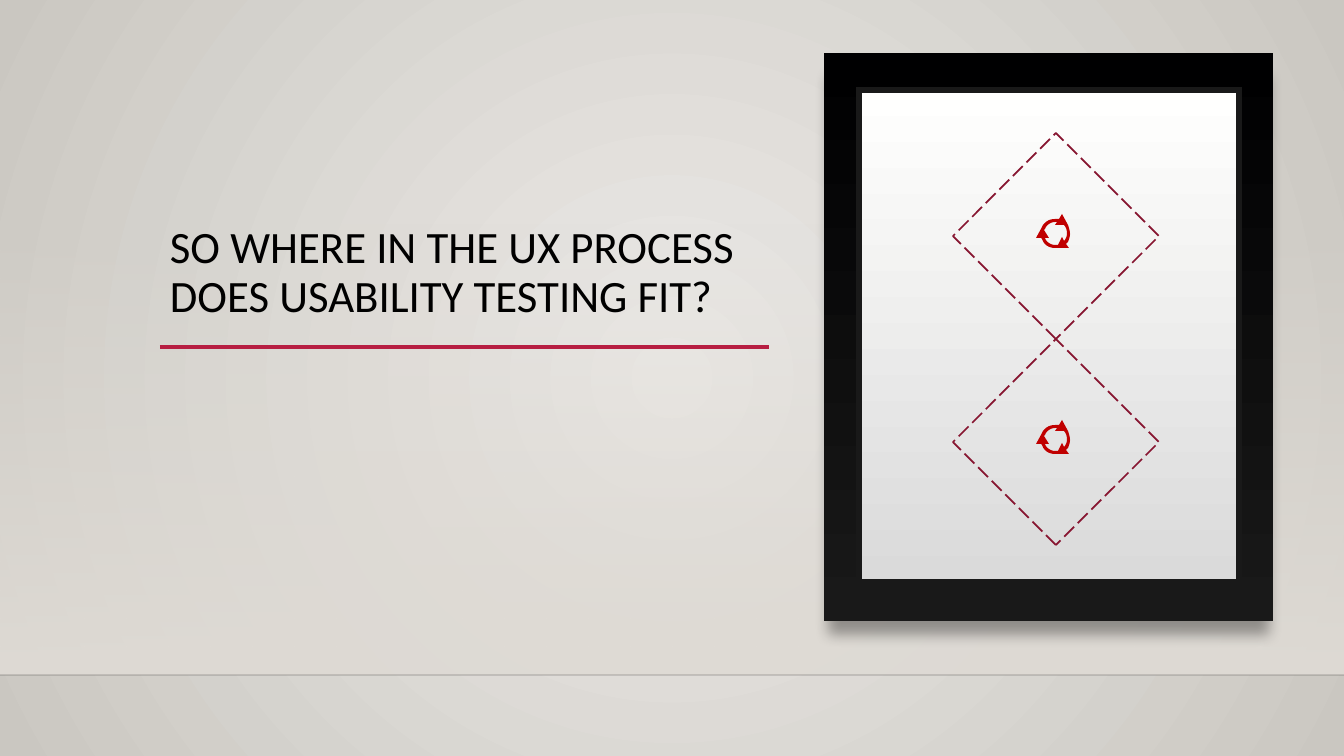
from collections import namedtuple
from dataclasses import dataclass

from lxml.etree import SubElement
from pptx import Presentation
from pptx.dml.color import RGBColor
from pptx.enum.dml import MSO_LINE
from pptx.enum.shapes import MSO_CONNECTOR, MSO_SHAPE
from pptx.enum.text import MSO_ANCHOR, PP_ALIGN
from pptx.oxml import parse_xml
from pptx.oxml.ns import nsdecls, qn
from pptx.util import Pt

SCALE = 12192000 / 1344
Box = namedtuple("Box", "left top width height")


@dataclass(frozen=True)
class Theme:
    font: str = "Calibri"
    title_size: int = 32
    text: str = "000000"
    glow: str = "ECEAE7"
    edge: str = "CAC7C1"
    wall: str = "DFDBD5"
    black: str = "000001"
    charcoal: str = "191919"
    white: str = "FFFFFE"
    silver: str = "DADADA"
    rule: str = "B71E42"
    diamond: str = "871631"
    icon: str = "C00000"


THEME = Theme()
CENTRE_OUT = ('<a:path path="circle"><a:fillToRect l="50000" t="50000" '
              'r="50000" b="50000"/></a:path>')
TOP_DOWN = '<a:lin ang="5400000" scaled="0"/>'

CYCLE_OUTER = [
    (0, 24), (6, 13), (7, 11), (10, 7, 14, 5, 19, 5), (23, 5), (26, 0),
    (32, 11), (33, 14, 34, 17, 34, 20), (34, 23, 33, 25, 32, 28), (30, 30),
    (33, 34), (19, 34), (13, 34, 8, 31, 6, 25), (5, 24),
]
CYCLE_INNER = [
    (8, 16), (13, 24), (9, 24), (10, 28, 15, 31, 19, 31), (22, 31), (26, 23),
    (28, 27), (29, 26), (30, 24, 31, 22, 31, 20), (31, 16, 30, 13, 28, 11),
    (19, 11), (21, 8), (19, 8), (15, 8, 10, 11, 9, 15),
]


def px(length):
    return round(length * SCALE)


def emu(box):
    return [px(length) for length in box]


def rgb(value):
    return RGBColor.from_string(value)


def set_gradient(parent, start, end, direction, start_alpha=100):
    gradient = parse_xml(
        f'<a:gradFill {nsdecls("a")} rotWithShape="1"><a:gsLst>'
        f'<a:gs pos="0"><a:srgbClr val="{start}">'
        f'<a:alpha val="{start_alpha * 1000}"/></a:srgbClr></a:gs>'
        f'<a:gs pos="100000"><a:srgbClr val="{end}"/></a:gs>'
        f'</a:gsLst>{direction}</a:gradFill>')
    parent.replace(parent.find(qn("a:solidFill")), gradient)


def add_panel(page, box, start, end, start_alpha=100):
    panel = page.shapes.add_shape(MSO_SHAPE.RECTANGLE, *emu(box))
    panel.shadow.inherit = False
    panel.line.fill.background()
    panel.fill.solid()
    set_gradient(panel.element.spPr, start, end, TOP_DOWN, start_alpha)
    return panel


def add_rule(page, left, top, width, color, weight):
    rule = page.shapes.add_connector(
        MSO_CONNECTOR.STRAIGHT, px(left), px(top), px(left + width), px(top))
    rule.line.color.rgb = rgb(color)
    rule.line.width = Pt(weight)
    SubElement(rule.element.spPr, qn("a:effectLst"))
    return rule


def add_backdrop(page, box):
    page.background.fill.solid()
    background = page._element.find(".//" + qn("p:bgPr"))
    set_gradient(background, THEME.glow, THEME.edge, CENTRE_OUT)
    wall = Box(box.left, box.top + 223, box.width, 452)
    add_panel(page, wall, THEME.wall, THEME.wall, start_alpha=0)
    floor = add_rule(page, box.left, wall.top + wall.height, box.width,
                     THEME.black, 1)
    color = floor.element.spPr.find(".//" + qn("a:srgbClr"))
    SubElement(color, qn("a:alpha"), val="20000")


def add_frame(page, box):
    frame = add_panel(page, box, THEME.black, THEME.charcoal)
    effects = frame.element.spPr.find(qn("a:effectLst"))
    effects.append(parse_xml(
        f'<a:outerShdw {nsdecls("a")} blurRad="127000" dist="228600" '
        'dir="4740000" sx="98000" sy="98000" algn="tl" rotWithShape="0">'
        '<a:srgbClr val="000000"><a:alpha val="34000"/></a:srgbClr>'
        '</a:outerShdw>'))
    canvas = Box(box.left + 35, box.top + 37, 380, 492)
    panel = add_panel(page, canvas, THEME.white, THEME.silver)
    panel.line.color.rgb = rgb(THEME.charcoal)
    panel.line.width = Pt(4)
    SubElement(panel.line._ln, qn("a:miter"), lim="800000")


def add_title(page, box):
    title = page.shapes.add_textbox(*emu(box))
    frame = title.text_frame
    frame.word_wrap = True
    frame.vertical_anchor = MSO_ANCHOR.BOTTOM
    para = frame.paragraphs[0]
    para.alignment = PP_ALIGN.LEFT
    para.line_spacing = 0.9
    span = para.add_run()
    span.text = "SO WHERE IN THE UX PROCESS DOES USABILITY TESTING FIT?"
    span.font.name = THEME.font
    span.font.size = Pt(THEME.title_size)
    span.font.color.rgb = rgb(THEME.text)
    add_rule(page, box.left, box.top + box.height + 20, box.width - 1,
             THEME.rule, 2.5)


def trace(outline, steps=6):
    points = [outline[0]]
    for piece in outline[1:]:
        if len(piece) == 2:
            points.append(piece)
            continue
        x0, y0 = points[-1]
        x1, y1, x2, y2, x3, y3 = piece
        for step in range(1, steps + 1):
            t = step / steps
            u = 1 - t
            weights = u ** 3, 3 * u * u * t, 3 * u * t * t, t ** 3
            points.append(tuple(
                sum(weight * value for weight, value in zip(weights, values))
                for values in ((x0, x1, x2, x3), (y0, y1, y2, y3))))
    return [(px(x), px(y)) for x, y in points]


def add_cycle_icon(page, left, top):
    outer, inner = trace(CYCLE_OUTER), trace(CYCLE_INNER)
    builder = page.shapes.build_freeform(*outer[0], scale=1.0)
    builder.add_line_segments(outer[1:], close=True)
    builder.move_to(*inner[0])
    builder.add_line_segments(inner[1:], close=True)
    icon = builder.convert_to_shape(px(left), px(top))
    icon.shadow.inherit = False
    icon.fill.solid()
    icon.fill.fore_color.rgb = rgb(THEME.icon)
    icon.line.fill.background()


def add_double_diamond(page, box):
    side = box.width
    for row in range(2):
        top = box.top + row * side
        diamond = page.shapes.add_shape(
            MSO_SHAPE.DIAMOND, *emu((box.left, top, side, side)))
        diamond.rotation = 270
        diamond.shadow.inherit = False
        diamond.fill.background()
        diamond.line.color.rgb = rgb(THEME.diamond)
        diamond.line.width = Pt(1.25)
        diamond.line.dash_style = MSO_LINE.LONG_DASH
        add_cycle_icon(page, box.left + 83, top + 81)


def main():
    deck = Presentation()
    deck.slide_width, deck.slide_height = px(1344), px(756)
    page = deck.slides.add_slide(deck.slide_layouts[6])
    add_backdrop(page, Box(0, 0, 1344, 756))
    add_frame(page, Box(824, 53, 449, 568))
    add_title(page, Box(160, 125, 610, 202))
    add_double_diamond(page, Box(953, 133, 206, 412))
    deck.save("out.pptx")


if __name__ == "__main__":
    main()
